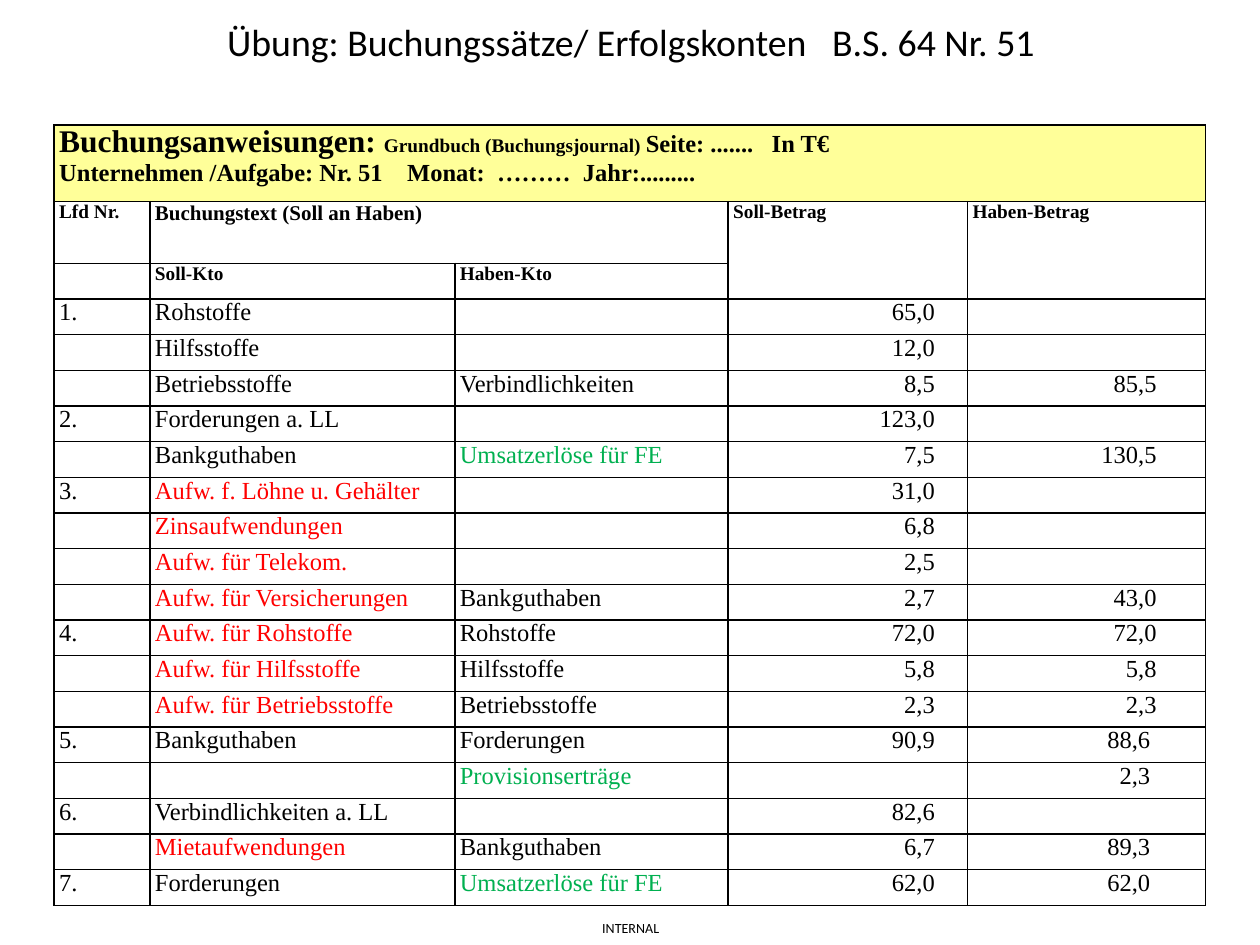
import pptx
import pptx.dml.color
import pptx.enum.text
import pptx.oxml
import pptx.oxml.ns
import pptx.util
from pptx.util import Inches

BLACK, RED, GREEN, YELLOW, WHITE = "000000", "FF0000", "00B050", "FFFF99", "FFFFFF"
SERIF = "Times New Roman"
ALIGN = pptx.enum.text.PP_ALIGN
ANCHOR = pptx.enum.text.MSO_ANCHOR


def format_font(font, size, color=BLACK, bold=False, name=SERIF):
    font.name = name
    font.size = pptx.util.Pt(size)
    font.bold = bold
    font.color.rgb = pptx.dml.color.RGBColor.from_string(color)


def add_border(cell, side, visible):
    if visible:
        paint = f'<a:solidFill><a:srgbClr val="{BLACK}"/></a:solidFill>'
    else:
        paint = "<a:noFill/>"
    cell._tc.get_or_add_tcPr().append(pptx.oxml.parse_xml(
        f'<a:ln{side} {pptx.oxml.ns.nsdecls("a")} w="12700">{paint}</a:ln{side}>'))


presentation = pptx.Presentation()
presentation.slide_width = Inches(10)
presentation.slide_height = Inches(7.5)
slide = presentation.slides.add_slide(presentation.slide_layouts[5])

# Title
title = slide.shapes.title
title.left, title.top = Inches(0.51), Inches(0.13)
title.width, title.height = Inches(9), Inches(0.39)
title.text_frame.text = "Übung: Buchungssätze/ Erfolgskonten   B.S. 64 Nr. 51"
title.text_frame.vertical_anchor = ANCHOR.MIDDLE
title.text_frame.paragraphs[0].alignment = ALIGN.CENTER
format_font(title.text_frame.paragraphs[0].runs[0].font, 21.6, name="Calibri")

# Journal entries: number, debit account, credit account, debit and credit amount
entries = [
    ("1.", "Rohstoffe", "", "65,0", ""),
    ("", "Hilfsstoffe", "", "12,0", ""),
    ("", "Betriebsstoffe", "Verbindlichkeiten", "8,5", "85,5"),
    ("2.", "Forderungen a. LL", "", "123,0", ""),
    ("", "Bankguthaben", "Umsatzerlöse für FE", "7,5", "130,5"),
    ("3.", "Aufw. f. Löhne u. Gehälter", "", "31,0", ""),
    ("", "Zinsaufwendungen", "", "6,8", ""),
    ("", "Aufw. für Telekom.", "", "2,5", ""),
    ("", "Aufw. für Versicherungen", "Bankguthaben", "2,7", "43,0"),
    ("4.", "Aufw. für Rohstoffe", "Rohstoffe", "72,0", "72,0"),
    ("", "Aufw. für Hilfsstoffe", "Hilfsstoffe", "5,8", "5,8"),
    ("", "Aufw. für Betriebsstoffe", "Betriebsstoffe", "2,3", "2,3"),
    ("5.", "Bankguthaben", "Forderungen", "90,9", "88,6"),
    ("", "", "Provisionserträge", "", "2,3"),
    ("6.", "Verbindlichkeiten a. LL", "", "82,6", ""),
    ("", "Mietaufwendungen", "Bankguthaben", "6,7", "89,3"),
    ("7.", "Forderungen", "Umsatzerlöse für FE", "62,0", "62,0"),
]
headings = [
    ("",) * 5,
    ("Lfd Nr.", "Buchungstext (Soll an Haben)", "", "Soll-Betrag", "Haben-Betrag"),
    ("", "Soll-Kto", "Haben-Kto", "", ""),
]
rows = headings + entries
column_widths = [0.76, 2.42, 2.17, 1.9, 1.89]
heading_heights = [0.61, 0.49]
entry_height = (6.2 - sum(heading_heights)) / (len(rows) - len(heading_heights))
row_heights = heading_heights + [entry_height] * (len(rows) - len(heading_heights))

# Table grid
frame = slide.shapes.add_table(len(rows), len(column_widths), Inches(0.43), Inches(0.99),
                               Inches(sum(column_widths)), Inches(6.2))
table = frame.table
table.first_row = False
table.horz_banding = False
for column, width in zip(table.columns, column_widths):
    column.width = Inches(width)
for row, height in zip(table.rows, row_heights):
    row.height = Inches(height)
table.cell(0, 0).merge(table.cell(0, 4))
table.cell(1, 1).merge(table.cell(1, 2))

# Cell text, borders and fills
for row_index, texts in enumerate(rows):
    is_heading = row_index < len(headings)
    for column_index, text in enumerate(texts):
        cell = table.cell(row_index, column_index)
        cell.margin_left = cell.margin_right = Inches(0.04)
        cell.margin_top = cell.margin_bottom = 0
        is_amount = column_index >= 3
        for side in "LRTB":
            open_side = is_amount and (row_index, side) in [(1, "B"), (2, "T")]
            add_border(cell, side, not open_side)
        cell.fill.solid()
        cell.fill.fore_color.rgb = pptx.dml.color.RGBColor.from_string(
            YELLOW if row_index == 0 else WHITE)

        paragraph = cell.text_frame.paragraphs[0]
        if not text:
            # Keeps empty cells from stretching their row
            paragraph._p.append(pptx.oxml.parse_xml(
                f'<a:endParaRPr {pptx.oxml.ns.nsdecls("a")} sz="1100"/>'))
            continue
        paragraph.text = text
        font = paragraph.runs[0].font
        if is_heading:
            format_font(font, 12 if text.startswith("Buchungstext") else 11, bold=True)
            continue
        color = BLACK
        if text.startswith("Aufw.") or text.endswith("aufwendungen"):
            color = RED
        elif text.startswith(("Umsatzerlöse", "Provisionserträge")):
            color = GREEN
        format_font(font, 14, color)
        if is_amount:
            paragraph.alignment = ALIGN.RIGHT
            from_entry_5 = row_index >= 15
            credit_margin = 0.44 if from_entry_5 else 0.39
            cell.margin_right = Inches(0.26 if column_index == 3 else credit_margin)

# Journal heading
paragraph = table.cell(0, 0).text_frame.paragraphs[0]
for text, size in [("Buchungsanweisungen: ", 18),
                   ("Grundbuch (Buchungsjournal) ", 11),
                   ("Seite: .......   In T€", 14),
                   ("Unternehmen /Aufgabe: Nr. 51    Monat:  ………  Jahr:.........", 14)]:
    if text.startswith("Unternehmen"):
        paragraph.add_line_break()
    run = paragraph.add_run()
    run.text = text
    format_font(run.font, size, bold=True)

# Classification label
label = slide.shapes.add_textbox(Inches(4.78), Inches(7.3), Inches(0.47), Inches(0.13))
text_frame = label.text_frame
text_frame.margin_left = text_frame.margin_right = 0
text_frame.margin_top = text_frame.margin_bottom = 0
text_frame.word_wrap = False
text_frame.text = "INTERNAL"
format_font(text_frame.paragraphs[0].runs[0].font, 8, name="Calibri")

presentation.save("out.pptx")
